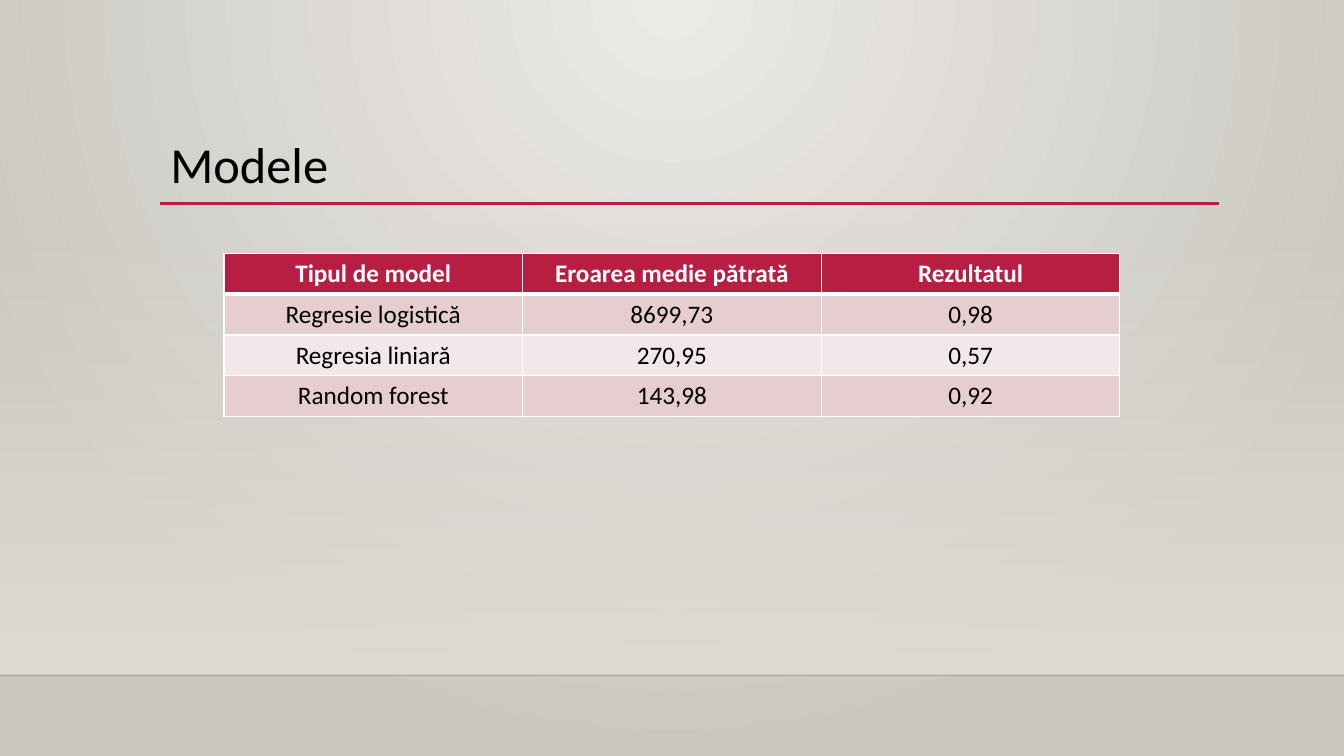
from lxml import etree
from pptx import Presentation
from pptx.dml.color import RGBColor
from pptx.enum.shapes import MSO_CONNECTOR, MSO_SHAPE
from pptx.enum.text import MSO_ANCHOR, PP_ALIGN
from pptx.oxml.ns import qn
from pptx.util import Pt

TITLE = "Modele"
MODELS = [
    ("Tipul de model", "Eroarea medie pătrată", "Rezultatul"),
    ("Regresie logistică", "8699,73", "0,98"),
    ("Regresia liniară", "270,95", "0,57"),
    ("Random forest", "143,98", "0,92"),
]

FONT = "Calibri"
BLACK = RGBColor(0x00, 0x00, 0x00)
WHITE = RGBColor(0xFF, 0xFF, 0xFF)
CRIMSON = RGBColor(0xB7, 0x1E, 0x42)
ROSE = RGBColor(0xE6, 0xCD, 0xCF)
PALE_ROSE = RGBColor(0xF3, 0xE8, 0xE9)
BACKGROUND_LIGHT = RGBColor(0xEC, 0xEA, 0xE7)
BACKGROUND_DARK = RGBColor(0xCA, 0xC7, 0xC1)
WALL = RGBColor(0xDF, 0xDB, 0xD5)

STRAIGHT = MSO_CONNECTOR.STRAIGHT
RECTANGLE = MSO_SHAPE.RECTANGLE
CENTER, LEFT = PP_ALIGN.CENTER, PP_ALIGN.LEFT
MIDDLE = MSO_ANCHOR.MIDDLE

SLIDE_WIDTH, SLIDE_HEIGHT = 960, 540
WALL_TOP, FLOOR_TOP = 159, 482.4
RULE_LEFT, RULE_RIGHT, RULE_TOP = 114.5, 871, 145.4
TITLE_TOP, TITLE_HEIGHT = 91.4, 51.1
TABLE_TOP, TABLE_WIDTH, ROW_HEIGHT = 180.9, 640, 29.2
TITLE_ONLY_LAYOUT = 5


def set_opacity(properties, percent):
    """Make the first RGB colour below an XML element translucent."""
    color = next(properties.iter(qn("a:srgbClr")))
    etree.SubElement(color, qn("a:alpha"), val=str(percent * 1000))


def set_gradient(fill, start, end):
    fill.gradient()
    for stop, color in zip(fill.gradient_stops, (start, end)):
        stop.color.rgb = color


def paint_background(slide):
    """Spread a circular gradient from the top centre of the slide."""
    set_gradient(slide.background.fill, BACKGROUND_LIGHT, BACKGROUND_DARK)
    gradient = next(slide.element.iter(qn("a:gradFill")))
    gradient.remove(gradient.find(qn("a:lin")))
    circle = etree.SubElement(gradient, qn("a:path"), path="circle")
    etree.SubElement(circle, qn("a:fillToRect"),
                     l="43000", t="0", r="43000", b="100000")


def add_wall(slide):
    wall = slide.shapes.add_shape(RECTANGLE, 0, Pt(WALL_TOP), Pt(SLIDE_WIDTH),
                                  Pt(FLOOR_TOP - WALL_TOP))
    wall.shadow.inherit = False
    wall.line.fill.background()
    set_gradient(wall.fill, WALL, WALL)
    wall.fill.gradient_angle = 270
    set_opacity(wall.element.spPr, 0)


def add_rule(slide, left, right, top, color, width):
    rule = slide.shapes.add_connector(STRAIGHT, Pt(left), Pt(top), Pt(right), Pt(top))
    rule.line.color.rgb = color
    rule.line.width = Pt(width)
    etree.SubElement(rule.element.spPr, qn("a:effectLst"))
    return rule


def write(paragraph, text, size, color, alignment, bold=False):
    paragraph.alignment = alignment
    run = paragraph.add_run()
    run.text = text
    run.font.name = FONT
    run.font.size = Pt(size)
    run.font.bold = bold
    run.font.color.rgb = color


def add_title(slide):
    title = slide.shapes.title
    title.left, title.top = Pt(RULE_LEFT), Pt(TITLE_TOP)
    title.width, title.height = Pt(RULE_RIGHT - RULE_LEFT), Pt(TITLE_HEIGHT)
    title.text_frame.vertical_anchor = MIDDLE
    write(title.text_frame.paragraphs[0], TITLE, 36, BLACK, LEFT)


def set_borders(cell, top, bottom):
    """Draw white cell borders, with top and bottom widths in points."""
    properties = cell._tc.get_or_add_tcPr()
    widths = {"a:lnL": 1, "a:lnR": 1, "a:lnT": top, "a:lnB": bottom}
    for position, (side, width) in enumerate(widths.items()):
        border = etree.Element(qn(side), w=str(Pt(width)))
        solid = etree.SubElement(border, qn("a:solidFill"))
        etree.SubElement(solid, qn("a:srgbClr"), val=str(WHITE))
        properties.insert(position, border)


def add_model_table(slide):
    row_count, column_count = len(MODELS), len(MODELS[0])
    left = (SLIDE_WIDTH - TABLE_WIDTH) / 2
    table = slide.shapes.add_table(
        row_count, column_count, Pt(left), Pt(TABLE_TOP),
        Pt(TABLE_WIDTH), Pt(ROW_HEIGHT * row_count)).table
    for row, values in enumerate(MODELS):
        table.rows[row].height = Pt(ROW_HEIGHT)
        header = row == 0
        fill = CRIMSON if header else ROSE if row % 2 else PALE_ROSE
        for column, value in enumerate(values):
            cell = table.cell(row, column)
            cell.fill.solid()
            cell.fill.fore_color.rgb = fill
            write(cell.text_frame.paragraphs[0], value, 18,
                  WHITE if header else BLACK, CENTER, bold=header)
            set_borders(cell, top=3 if row == 1 else 1, bottom=3 if header else 1)


def main():
    presentation = Presentation()
    presentation.slide_width = Pt(SLIDE_WIDTH)
    presentation.slide_height = Pt(SLIDE_HEIGHT)
    slide = presentation.slides.add_slide(presentation.slide_layouts[TITLE_ONLY_LAYOUT])
    paint_background(slide)
    add_wall(slide)
    floor_edge = add_rule(slide, 0, SLIDE_WIDTH, FLOOR_TOP, BLACK, 1)
    set_opacity(floor_edge.element.spPr, 20)
    add_rule(slide, RULE_LEFT, RULE_RIGHT, RULE_TOP, CRIMSON, 2.5)
    title = slide.shapes.title.element
    title.getparent().append(title)
    add_title(slide)
    add_model_table(slide)
    presentation.save("out.pptx")


if __name__ == "__main__":
    main()
